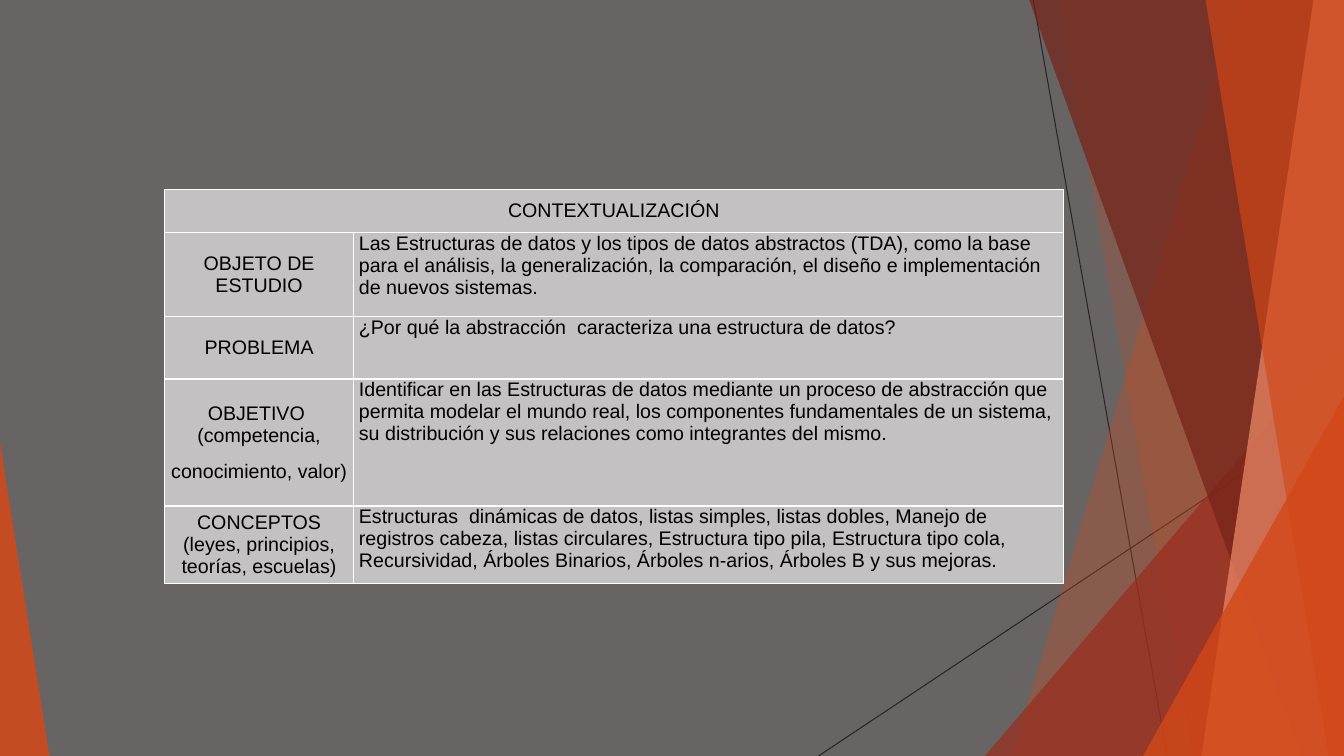
"""Build the CONTEXTUALIZACIÓN slide: a course table over faceted side decoration."""
import pptx
import pptx.util
import pptx.dml.color
import pptx.enum.shapes
import pptx.enum.text
import pptx.oxml
import pptx.oxml.ns

WIDTH = pptx.util.Inches(13.333)
HEIGHT = pptx.util.Inches(7.5)
COLORS = {
    "background": "696464",
    "hairline": "262626",
    "orange": "D34817",
    "red": "9B2D1F",
    "maroon": "742217",
    "salmon": "EF8C6A",
    "cell": "C3C1C1",
    "border": "FFFFFF",
    "text": "000000",
}
HAIRLINES = [((76.88, 0), (86.85, 100)), ((100, 53.73), (60.9, 100))]
BACK_BANDS = [(92.1, 75.3, "orange", 30), (78.75, 88.73, "orange", 20)]
FRONT_BANDS = [
    (76.58, 96.83, "maroon", 70),
    (97.73, 89.4, "salmon", 70),
    (89.7, 98.85, "orange", 65),
]
BACK_WEDGE = (73.28, 44.4, 26.72, 1, "red", 72)
FRONT_WEDGES = [(85.05, 52.4, 14.95, 1, "orange", 80), (0, 58.53, 3.68, 0, "orange", 85)]
TITLE = "CONTEXTUALIZACIÓN"
TOPICS = [
    (["OBJETO DE ESTUDIO"],
     "Las Estructuras de datos y los tipos de datos abstractos (TDA), como la base para el "
     "análisis, la generalización, la comparación, el diseño e implementación de nuevos sistemas."),
    (["PROBLEMA"], "¿Por qué la abstracción  caracteriza una estructura de datos?"),
    (["OBJETIVO  (competencia,", "conocimiento, valor)"],
     "Identificar en las Estructuras de datos mediante un proceso de abstracción que permita "
     "modelar el mundo real, los componentes fundamentales de un sistema, su distribución y "
     "sus relaciones como integrantes del mismo."),
    (["CONCEPTOS (leyes, principios, teorías, escuelas)"],
     "Estructuras  dinámicas de datos, listas simples, listas dobles, Manejo de registros "
     "cabeza, listas circulares, Estructura tipo pila, Estructura tipo cola, Recursividad, "
     "Árboles Binarios, Árboles n-arios, Árboles B y sus mejoras."),
]
TABLE_LEFT, TABLE_TOP = 12.23, 25.07
COLUMN_SHARES = [14.1, 52.8]
ROW_SHARES = [5.73, 11.07, 8.27, 16.8, 10.27]


def across(share):
    return round(WIDTH * share / 100)


def down(share):
    return round(HEIGHT * share / 100)


def color(name):
    return pptx.dml.color.RGBColor.from_string(COLORS[name])


def add_hairline(slide, start, end):
    hairline = slide.shapes.add_connector(
        pptx.enum.shapes.MSO_CONNECTOR.STRAIGHT,
        across(start[0]), down(start[1]), across(end[0]), down(end[1]))
    hairline.line.color.rgb = color("hairline")
    hairline.line.width = pptx.util.Pt(0.75)
    pptx.oxml.ns.qn("a:effectLst")
    hairline._element.spPr.append(
        pptx.oxml.parse_xml(f'<a:effectLst {pptx.oxml.ns.nsdecls("a")}/>'))


def paint(facet, hue, opacity):
    facet.shadow.inherit = False
    facet.fill.solid()
    facet.fill.fore_color.rgb = color(hue)
    facet.line.fill.background()
    tint = facet._element.spPr.find(".//" + pptx.oxml.ns.qn("a:srgbClr"))
    tint.append(pptx.oxml.parse_xml(
        f'<a:alpha {pptx.oxml.ns.nsdecls("a")} val="{opacity * 1000}"/>'))


def add_band(slide, top_x, bottom_x, hue, opacity):
    outline = slide.shapes.build_freeform(across(top_x), 0)
    outline.add_line_segments(
        [(WIDTH, 0), (WIDTH, HEIGHT), (across(bottom_x), HEIGHT)], close=True)
    paint(outline.convert_to_shape(), hue, opacity)


def add_wedge(slide, left, top, width, apex, hue, opacity):
    wedge = slide.shapes.add_shape(
        pptx.enum.shapes.MSO_SHAPE.ISOSCELES_TRIANGLE,
        across(left), down(top), across(width), down(100 - top))
    wedge.adjustments[0] = apex
    paint(wedge, hue, opacity)


def add_borders(cell):
    properties = cell._tc.get_or_add_tcPr()
    for position, side in enumerate(["lnL", "lnR", "lnT", "lnB"]):
        properties.insert(position, pptx.oxml.parse_xml(
            f'<a:{side} {pptx.oxml.ns.nsdecls("a")} w="12700"><a:solidFill>'
            f'<a:srgbClr val="{COLORS["border"]}"/></a:solidFill></a:{side}>'))


def fill_cell(cell, lines, is_heading):
    cell.margin_left = cell.margin_right = pptx.util.Inches(0.05)
    cell.margin_top = cell.margin_bottom = 0
    anchors = pptx.enum.text.MSO_ANCHOR
    cell.vertical_anchor = anchors.MIDDLE if is_heading else anchors.TOP
    alignments = pptx.enum.text.PP_ALIGN
    for index, line in enumerate(lines):
        frame = cell.text_frame
        paragraph = frame.add_paragraph() if index else frame.paragraphs[0]
        paragraph.alignment = alignments.CENTER if is_heading else alignments.LEFT
        paragraph.space_before = paragraph.space_after = pptx.util.Pt(5)
        run = paragraph.add_run()
        run.text = line
        run.font.size = pptx.util.Pt(14)
        run.font.name = "Arial"
        run.font.bold = False
        run.font.color.rgb = color("text")


def add_topic_table(slide):
    table = slide.shapes.add_table(
        len(ROW_SHARES), len(COLUMN_SHARES), across(TABLE_LEFT), down(TABLE_TOP),
        across(sum(COLUMN_SHARES)), down(sum(ROW_SHARES))).table
    table.first_row = table.horz_banding = False
    for column, share in zip(table.columns, COLUMN_SHARES):
        column.width = across(share)
    for row, share in zip(table.rows, ROW_SHARES):
        row.height = down(share)
    for cell in table.iter_cells():
        cell.fill.solid()
        cell.fill.fore_color.rgb = color("cell")
        add_borders(cell)
    table.cell(0, 0).merge(table.cell(0, 1))
    fill_cell(table.cell(0, 0), [TITLE], True)
    for row, (heading, description) in enumerate(TOPICS, start=1):
        fill_cell(table.cell(row, 0), heading, True)
        fill_cell(table.cell(row, 1), [description], False)


def main():
    deck = pptx.Presentation()
    deck.slide_width, deck.slide_height = WIDTH, HEIGHT
    slide = deck.slides.add_slide(deck.slide_layouts[6])
    slide.background.fill.solid()
    slide.background.fill.fore_color.rgb = color("background")
    for start, end in HAIRLINES:
        add_hairline(slide, start, end)
    for band in BACK_BANDS:
        add_band(slide, *band)
    add_wedge(slide, *BACK_WEDGE)
    for band in FRONT_BANDS:
        add_band(slide, *band)
    for wedge in FRONT_WEDGES:
        add_wedge(slide, *wedge)
    add_topic_table(slide)
    deck.save("out.pptx")


main()
